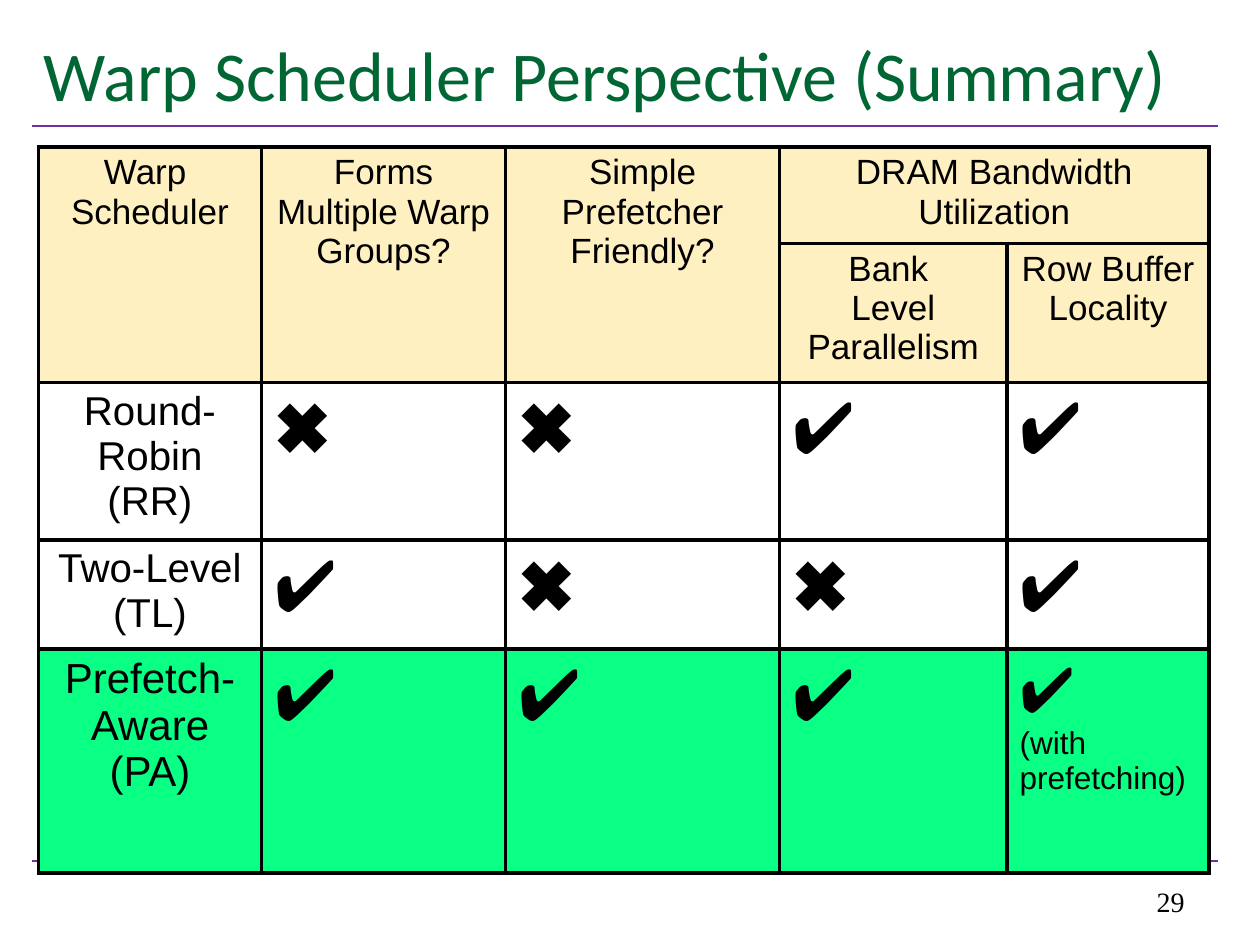
from dataclasses import dataclass

from lxml import etree
from pptx import Presentation
from pptx.dml.color import RGBColor
from pptx.enum import shapes, text
from pptx.oxml import ns
from pptx.util import Pt


@dataclass(frozen=True)
class Theme:
    ink: str = "000000"
    title: str = "006633"
    rule: str = "7030A0"
    head: str = "FFF0C2"
    best: str = "0AFF85"
    body: str = "Arial"
    big: int = 40
    label: int = 20
    name: int = 23
    mark: int = 41
    page: int = 16


T = Theme()
MID = text.PP_ALIGN.CENTER
YES, NO = "✔", "✖"
COLS = [127.5, 139.5, 156.5, 130, 115.5]
ROWS = [52, 74, 84, 58.5, 128]

# row, column, lines of text
HEADS = [
    (0, 0, ["Warp ", "Scheduler"]),
    (0, 1, ["Forms Multiple Warp Groups?"]),
    (0, 2, ["Simple", "Prefetcher Friendly?"]),
    (0, 3, ["DRAM Bandwidth Utilization"]),
    (1, 3, ["Bank ", "Level Parallelism"]),
    (1, 4, ["Row Buffer Locality"]),
]
# lines of the name, size of the name, marks, fill
PLANS = [
    (["Round-Robin", "(RR)"], T.name, [NO, NO, YES, YES], None),
    (["Two-Level", "(TL)"], T.name, [YES, NO, NO, YES], None),
    (["Prefetch-Aware (PA)"], 24, [YES, YES, YES], T.best),
]


def write(frame, lines, sizes, font=T.body, color=T.ink, align=None):
    """Fill a text frame; sizes is one size or one for each line."""
    if isinstance(sizes, int):
        sizes = [sizes] * len(lines)
    frame.word_wrap = True
    for i, (line, size) in enumerate(zip(lines, sizes)):
        para = frame.add_paragraph() if i else frame.paragraphs[0]
        para.alignment = align
        run = para.add_run()
        run.text = line
        run.font.size = Pt(size)
        run.font.name = font
        run.font.color.rgb = RGBColor.from_string(color)


def label(slide, box, line, size, anchor, **style):
    frame = slide.shapes.add_textbox(*map(Pt, box)).text_frame
    frame.vertical_anchor = anchor
    write(frame, [line], size, **style)


def rule(slide, left, top, width):
    line = slide.shapes.add_connector(
        shapes.MSO_CONNECTOR.STRAIGHT, Pt(left), Pt(top), Pt(left + width), Pt(top))
    line.line.color.rgb = RGBColor.from_string(T.rule)
    line.line.width = Pt(1.5)
    etree.SubElement(line._element.spPr, ns.qn("a:effectLst"))


def paint(cell, fill):
    """Set the borders and the fill of a cell."""
    props = cell._tc.get_or_add_tcPr()
    for side in ("lnL", "lnR", "lnT", "lnB"):
        edge = etree.SubElement(props, ns.qn("a:" + side), w=str(Pt(2.25)))
        solid = etree.SubElement(edge, ns.qn("a:solidFill"))
        etree.SubElement(solid, ns.qn("a:srgbClr"), val=T.ink)
    if fill:
        cell.fill.solid()
        cell.fill.fore_color.rgb = RGBColor.from_string(fill)
    else:
        cell.fill.background()


def matrix(slide, left, top):
    box = map(Pt, (left, top, sum(COLS), sum(ROWS)))
    grid = slide.shapes.add_table(len(ROWS), len(COLS), *box).table
    grid.first_row = grid.horz_banding = False
    for col, width in zip(grid.columns, COLS):
        col.width = Pt(width)
    for row, height in zip(grid.rows, ROWS):
        row.height = Pt(height)

    # Fills and borders
    fills = [T.head, T.head] + [plan[3] for plan in PLANS]
    for r, fill in enumerate(fills):
        for c in range(len(COLS)):
            paint(grid.cell(r, c), fill)

    # Header cells
    for c in range(3):
        grid.cell(0, c).merge(grid.cell(1, c))
    grid.cell(0, 3).merge(grid.cell(0, 4))
    for r, c, lines in HEADS:
        write(grid.cell(r, c).text_frame, lines, T.label, align=MID)

    # Schedulers and their marks
    for r, (lines, size, marks, _) in enumerate(PLANS, 2):
        write(grid.cell(r, 0).text_frame, lines, size, align=MID)
        for c, mark in enumerate(marks, 1):
            write(grid.cell(r, c).text_frame, [mark], T.mark)
    write(grid.cell(4, 4).text_frame, [YES, "(with prefetching)"], [36, 18])


def main():
    deck = Presentation()
    deck.slide_width, deck.slide_height = Pt(720), Pt(540)
    slide = deck.slides.add_slide(deck.slide_layouts[6])

    # Frame: rules, title, page number
    for top in (492, 72):
        rule(slide, 18, top, 678)
    label(slide, (18, 12, 678, 60), "Warp Scheduler Perspective (Summary)", T.big,
          text.MSO_ANCHOR.MIDDLE, font="Calibri", color=T.title)
    label(slide, (516, 492, 168, 36), "29", T.page, text.MSO_ANCHOR.BOTTOM,
          font="Times New Roman", align=text.PP_ALIGN.RIGHT)

    # Comparison table
    matrix(slide, 22, 84)
    deck.save("out.pptx")


if __name__ == "__main__":
    main()
